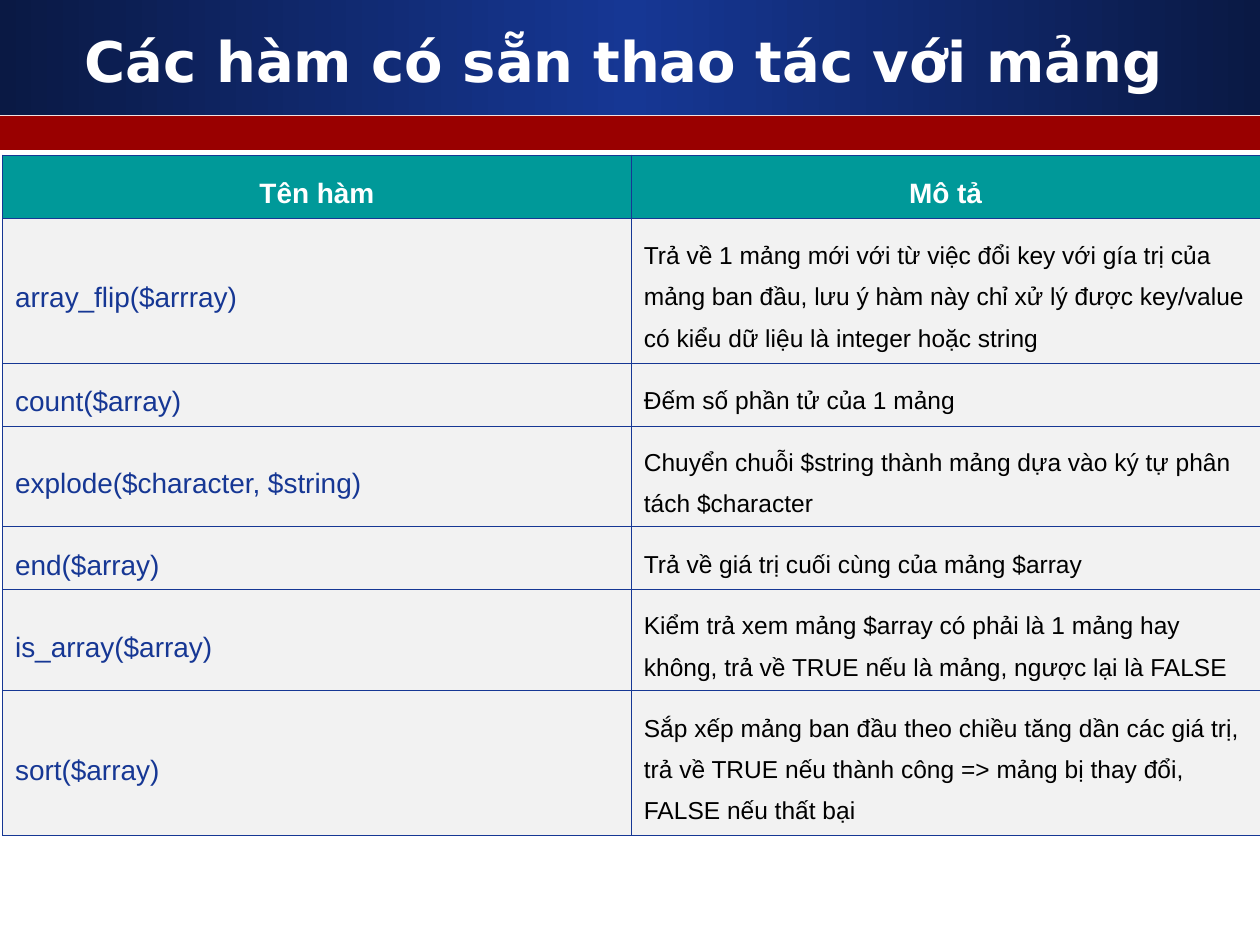
import copy

import pptx
import pptx.dml.color
import pptx.enum.shapes
import pptx.enum.text
import pptx.oxml
import pptx.oxml.ns
import pptx.util

Pt = pptx.util.Pt
ALIGN = pptx.enum.text.PP_ALIGN
MIDDLE = pptx.enum.text.MSO_ANCHOR.MIDDLE

COLOURS = {
    "navy": "0A1944",
    "blue": "163794",
    "red": "990000",
    "teal": "009999",
    "grey": "F2F2F2",
    "white": "FFFFFF",
    "black": "000000",
}
PAGE_WIDTH, PAGE_HEIGHT = 720, 540
COLUMN_WIDTH = 359.28
ROW_HEIGHTS = {1: 36, 2: 57.6, 3: 82.8}  # by number of text lines

HEADINGS = ("Tên hàm", "Mô tả")
FUNCTIONS = [
    ("array_flip($arrray)", 3,
     "Trả về 1 mảng mới với từ việc đổi key với gía trị của mảng ban đầu, "
     "lưu ý hàm này chỉ xử lý được key/value có kiểu dữ liệu là integer hoặc string"),
    ("count($array)", 1, "Đếm số phần tử của 1 mảng"),
    ("explode($character, $string)", 2,
     "Chuyển chuỗi $string thành mảng dựa vào ký tự phân tách $character"),
    ("end($array)", 1, "Trả về giá trị cuối cùng của mảng $array"),
    ("is_array($array)", 2,
     "Kiểm trả xem mảng $array có phải là 1 mảng hay không, "
     "trả về TRUE nếu là mảng, ngược lại là FALSE"),
    ("sort($array)", 3,
     "Sắp xếp mảng ban đầu theo chiều tăng dần các giá trị, "
     "trả về TRUE nếu thành công => mảng bị thay đổi, FALSE nếu thất bại"),
]


def colour(name):
    return pptx.dml.color.RGBColor.from_string(COLOURS[name])


def format_paragraph(para, font_name, size, colour_name, bold, alignment):
    para.alignment = alignment
    para.font.name = font_name
    para.font.size = Pt(size)
    para.font.bold = bold
    para.font.color.rgb = colour(colour_name)


def add_band(page, top, height):
    band = page.shapes.add_shape(
        pptx.enum.shapes.MSO_SHAPE.RECTANGLE, 0, Pt(top), Pt(PAGE_WIDTH), Pt(height))
    band.shadow.inherit = False
    band.line.fill.background()
    return band


def fill_mirrored(band, edge, centre):
    """Horizontal gradient with one colour at both edges and another between."""
    band.fill.gradient()
    band.fill.gradient_angle = 0
    first, middle = band.fill.gradient_stops
    first.color.rgb, first.position = colour(edge), 0
    middle.color.rgb, middle.position = colour(centre), 0.5
    stops = band.fill._fill._gradFill.gsLst
    last = copy.deepcopy(stops[0])
    last.set("pos", "100000")
    stops.append(last)


def set_title(page, text):
    title = page.shapes.title
    title.left, title.top, title.width, title.height = map(Pt, (23.76, 12.24, 666, 44.64))
    page.shapes._spTree.append(title._element)  # in front of the bands
    frame = title.text_frame
    frame.text = text
    frame.word_wrap = True
    frame.auto_size = pptx.enum.text.MSO_AUTO_SIZE.NONE
    frame.vertical_anchor = MIDDLE
    format_paragraph(frame.paragraphs[0], "DejaVu Sans", 32, "white", True, ALIGN.CENTER)


def set_borders(cell, colour_name, width):
    properties = cell._tc.get_or_add_tcPr()
    for index, side in enumerate(("lnL", "lnR", "lnT", "lnB")):
        border = pptx.oxml.parse_xml(
            f'<a:{side} {pptx.oxml.ns.nsdecls("a")} w="{Pt(width)}"><a:solidFill>'
            f'<a:srgbClr val="{COLOURS[colour_name]}"/></a:solidFill></a:{side}>')
        properties.insert(index, border)


def fill_cell(cell, text, fill, size, text_colour, bold=False, alignment=ALIGN.LEFT):
    cell.text = text
    cell.vertical_anchor = MIDDLE
    cell.fill.solid()
    cell.fill.fore_color.rgb = colour(fill)
    set_borders(cell, "blue", 0.45)
    para = cell.text_frame.paragraphs[0]
    para.line_spacing = 1.5
    format_paragraph(para, "Arial", size, text_colour, bold, alignment)


def add_function_table(page):
    heights = [ROW_HEIGHTS[1]] + [ROW_HEIGHTS[lines] for _, lines, _ in FUNCTIONS]
    table = page.shapes.add_table(
        len(heights), len(HEADINGS), Pt(1.44), Pt(88.56),
        Pt(COLUMN_WIDTH * len(HEADINGS)), Pt(sum(heights))).table
    for column in table.columns:
        column.width = Pt(COLUMN_WIDTH)
    for row, height in zip(table.rows, heights):
        row.height = Pt(height)
    for index, heading in enumerate(HEADINGS):
        fill_cell(table.cell(0, index), heading, "teal", 16, "white", True, ALIGN.CENTER)
    for index, (name, _, description) in enumerate(FUNCTIONS, start=1):
        fill_cell(table.cell(index, 0), name, "grey", 16, "blue")
        fill_cell(table.cell(index, 1), description, "grey", 14, "black")


def main():
    deck = pptx.Presentation()
    deck.slide_width, deck.slide_height = Pt(PAGE_WIDTH), Pt(PAGE_HEIGHT)
    page = deck.slides.add_slide(deck.slide_layouts[5])
    fill_mirrored(add_band(page, 0, 65.52), "navy", "blue")
    stripe = add_band(page, 66.24, 19.44)
    stripe.fill.solid()
    stripe.fill.fore_color.rgb = colour("red")
    set_title(page, "Các hàm có sẵn thao tác với mảng")
    add_function_table(page)
    deck.save("out.pptx")


if __name__ == "__main__":
    main()
